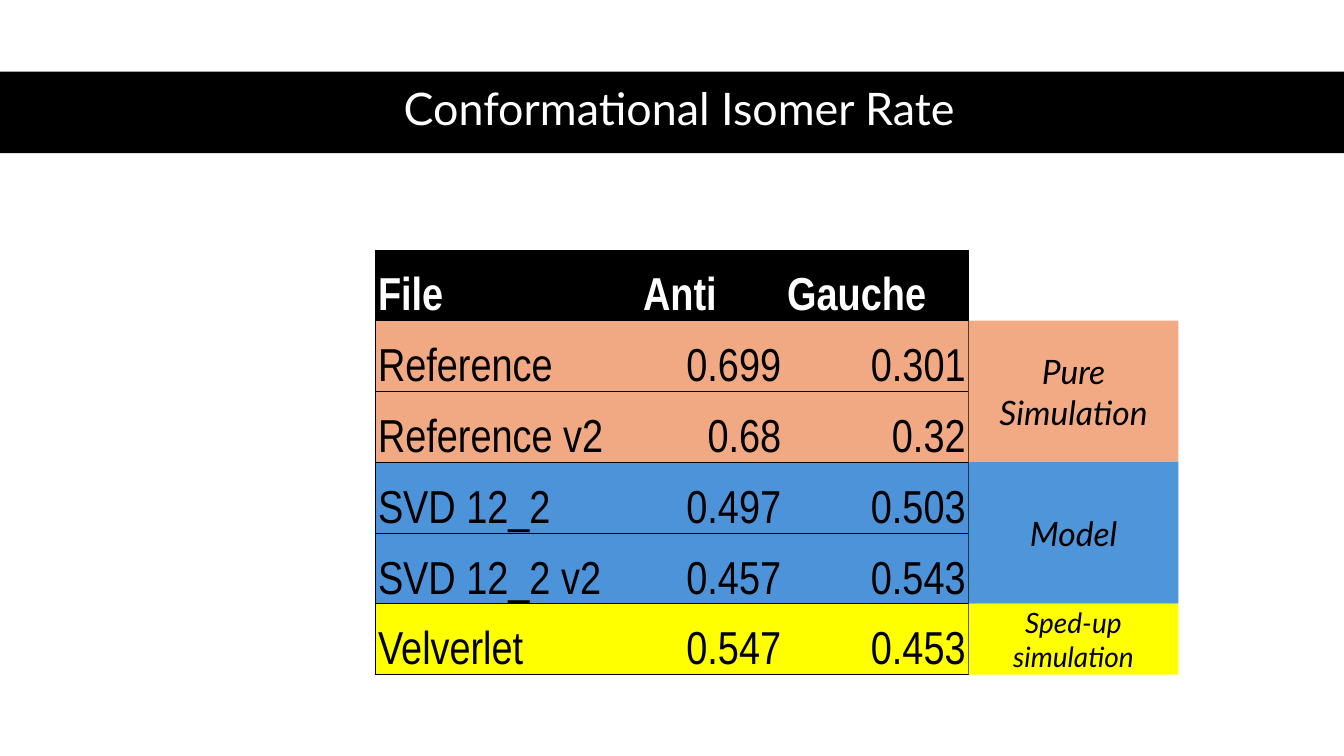
import pptx
import pptx.util
import pptx.dml.color
import pptx.enum.shapes
import pptx.enum.text
import pptx.oxml
import pptx.oxml.ns

PX = 914.4  # 1000 px to the inch

BLACK = pptx.dml.color.RGBColor(0x00, 0x00, 0x00)
WHITE = pptx.dml.color.RGBColor(0xFF, 0xFF, 0xFF)
ORANGE = pptx.dml.color.RGBColor(0xF1, 0xA9, 0x83)
BLUE = pptx.dml.color.RGBColor(0x4D, 0x93, 0xD9)
LABEL_ORANGE = pptx.dml.color.RGBColor(0xF2, 0xAA, 0x84)
LABEL_BLUE = pptx.dml.color.RGBColor(0x4E, 0x95, 0xD9)
YELLOW = pptx.dml.color.RGBColor(0xFF, 0xFF, 0x00)

ALIGN = pptx.enum.text.PP_ALIGN
ANCHOR = pptx.enum.text.MSO_ANCHOR


def box(*lengths):
    """Turn px lengths into EMU."""
    return [pptx.util.Emu(round(length * PX)) for length in lengths]


def add_band(left, top, width, height, color):
    band = slide.shapes.add_shape(
        pptx.enum.shapes.MSO_SHAPE.RECTANGLE, *box(left, top, width, height))
    band.shadow.inherit = False
    band.fill.solid()
    band.fill.fore_color.rgb = color
    band.line.fill.background()
    return band


presentation = pptx.Presentation()
presentation.slide_width, presentation.slide_height = box(13333, 7500)
slide = presentation.slides.add_slide(presentation.slide_layouts[5])

# Title on its black band
title = slide.shapes.title
title.left, title.top, title.width, title.height = box(610, 700, 12260, 810)
title.text_frame.text = "Conformational Isomer Rate"
title.text_frame.vertical_anchor = ANCHOR.MIDDLE
heading = title.text_frame.paragraphs[0]
heading.alignment = ALIGN.CENTER
heading.line_spacing = 0.9
heading.runs[0].font.name = "Lato"
heading.runs[0].font.size = pptx.util.Pt(32)
heading.runs[0].font.color.rgb = WHITE
title_band = add_band(0, 710, 13333, 810, BLACK)
title.element.addprevious(title_band.element)

# Rate table
ROWS = [
    ("File", "Anti", "Gauche", BLACK),
    ("Reference", "0.699", "0.301", ORANGE),
    ("Reference v2", "0.68", "0.32", ORANGE),
    ("SVD 12_2", "0.497", "0.503", BLUE),
    ("SVD 12_2 v2", "0.457", "0.543", BLUE),
    ("Velverlet", "0.547", "0.453", YELLOW),
]
COLUMN_WIDTHS = [2630, 1430, 1830]
TABLE_LEFT, TABLE_TOP, ROW_HEIGHT = 3720, 2480, 702
table_width = sum(COLUMN_WIDTHS)

rates = slide.shapes.add_table(
    len(ROWS), len(COLUMN_WIDTHS),
    *box(TABLE_LEFT, TABLE_TOP, table_width, ROW_HEIGHT * len(ROWS))).table
rates.first_row = False
rates.horz_banding = False
for column, width in zip(rates.columns, box(*COLUMN_WIDTHS)):
    column.width = width

LINE = "<a:solidFill><a:srgbClr val='000000'/></a:solidFill>"
NO_LINE = "<a:noFill/>"
last_column = len(COLUMN_WIDTHS) - 1
for row_number, (*texts, row_color) in enumerate(ROWS):
    is_header = row_number == 0
    rates.rows[row_number].height = box(ROW_HEIGHT)[0]
    for column_number, text in enumerate(texts):
        cell = rates.cell(row_number, column_number)
        cell.text_frame.text = text
        cell.vertical_anchor = ANCHOR.BOTTOM
        (cell.margin_left, cell.margin_top,
         cell.margin_right, cell.margin_bottom) = box(30, 30, 30, 0)
        paragraph = cell.text_frame.paragraphs[0]
        is_number = column_number > 0 and not is_header
        paragraph.alignment = ALIGN.RIGHT if is_number else ALIGN.LEFT
        font = paragraph.runs[0].font
        font.name = "Arial Narrow"
        font.size = pptx.util.Pt(33)
        font.bold = is_header
        font.color.rgb = WHITE if is_header else BLACK

        edges = {
            "lnL": LINE if column_number == 0 else NO_LINE,
            "lnR": LINE if column_number == last_column else NO_LINE,
            "lnT": LINE,
            "lnB": LINE,
        }
        properties = cell._tc.get_or_add_tcPr()
        for edge, stroke in edges.items():
            properties.append(pptx.oxml.parse_xml(
                f"<a:{edge} {pptx.oxml.ns.nsdecls('a')} w='6350'>{stroke}</a:{edge}>"))
        cell.fill.solid()
        cell.fill.fore_color.rgb = row_color

# Labels beside the groups of rows
GROUPS = [
    ("Pure Simulation", 1, 2, LABEL_ORANGE, 24),
    ("Model", 3, 2, LABEL_BLUE, 24),
    ("Sped-up simulation", 5, 1, YELLOW, 20),
]
for text, first_row, row_count, color, size in GROUPS:
    label = add_band(TABLE_LEFT + table_width, TABLE_TOP + first_row * ROW_HEIGHT,
                     2080, row_count * ROW_HEIGHT, color)
    label.text_frame.text = text
    label.text_frame.word_wrap = True
    label.text_frame.vertical_anchor = ANCHOR.MIDDLE
    paragraph = label.text_frame.paragraphs[0]
    paragraph.alignment = ALIGN.CENTER
    font = paragraph.runs[0].font
    font.name = "Lato"
    font.size = pptx.util.Pt(size)
    font.italic = True
    font.color.rgb = BLACK

presentation.save("out.pptx")
